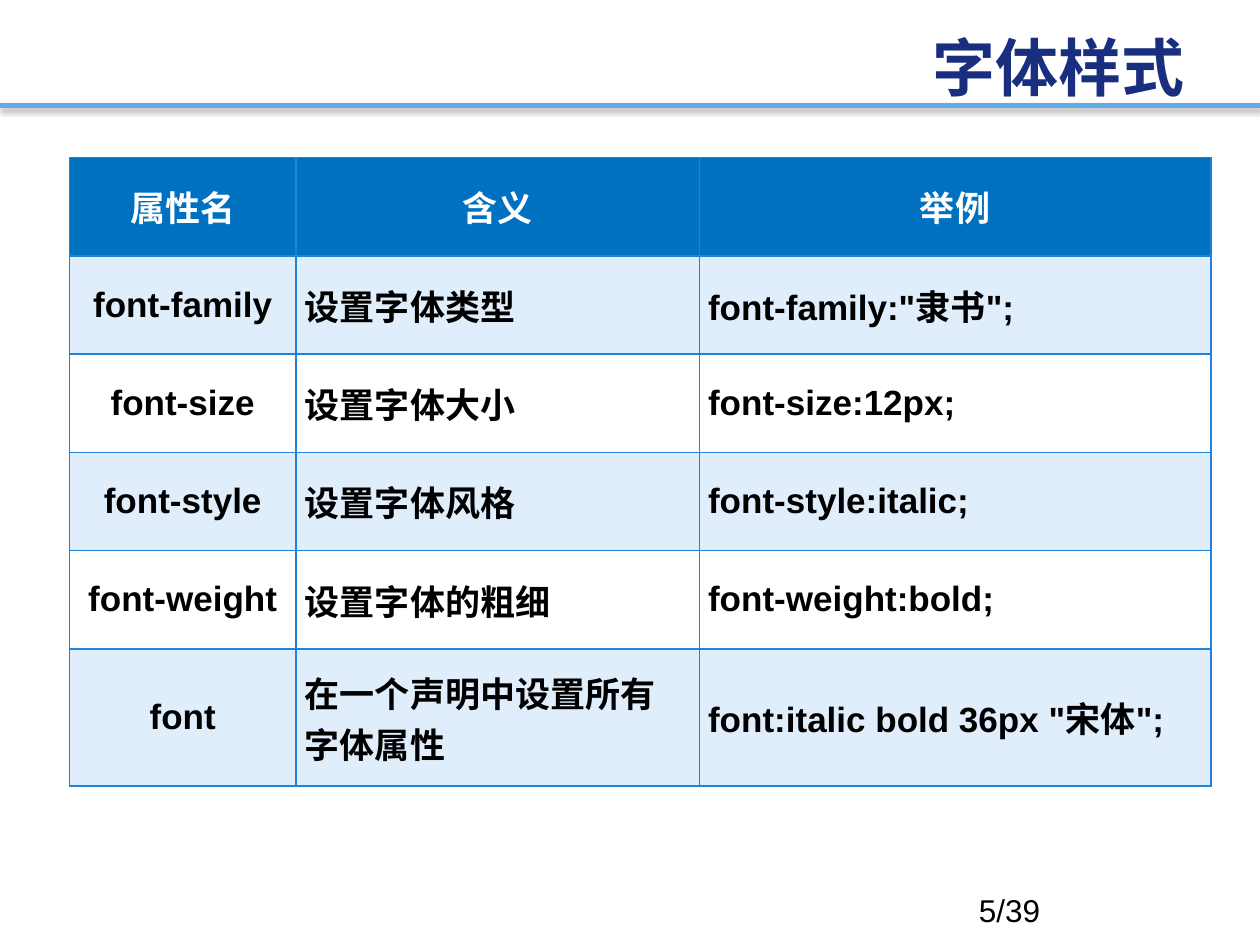
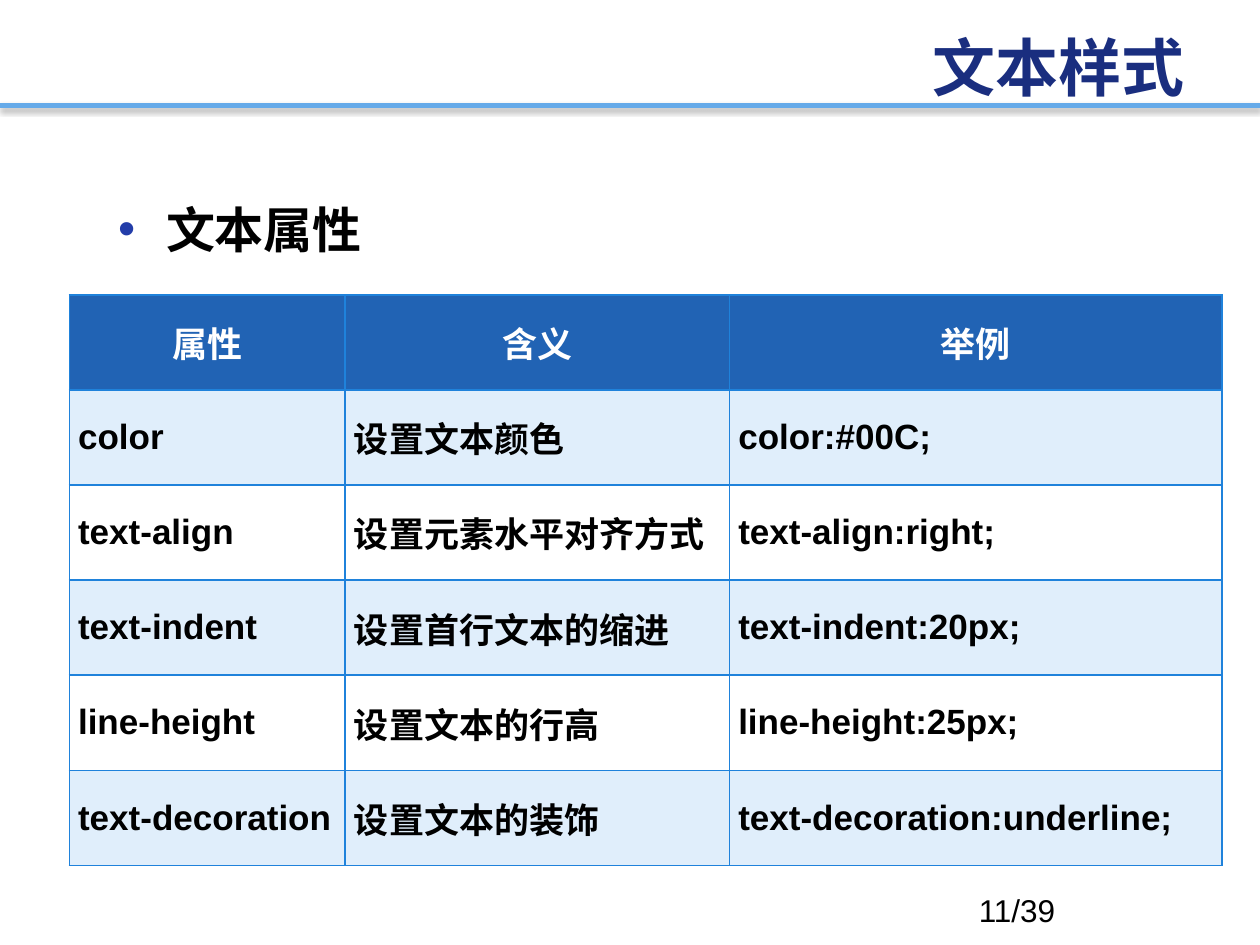
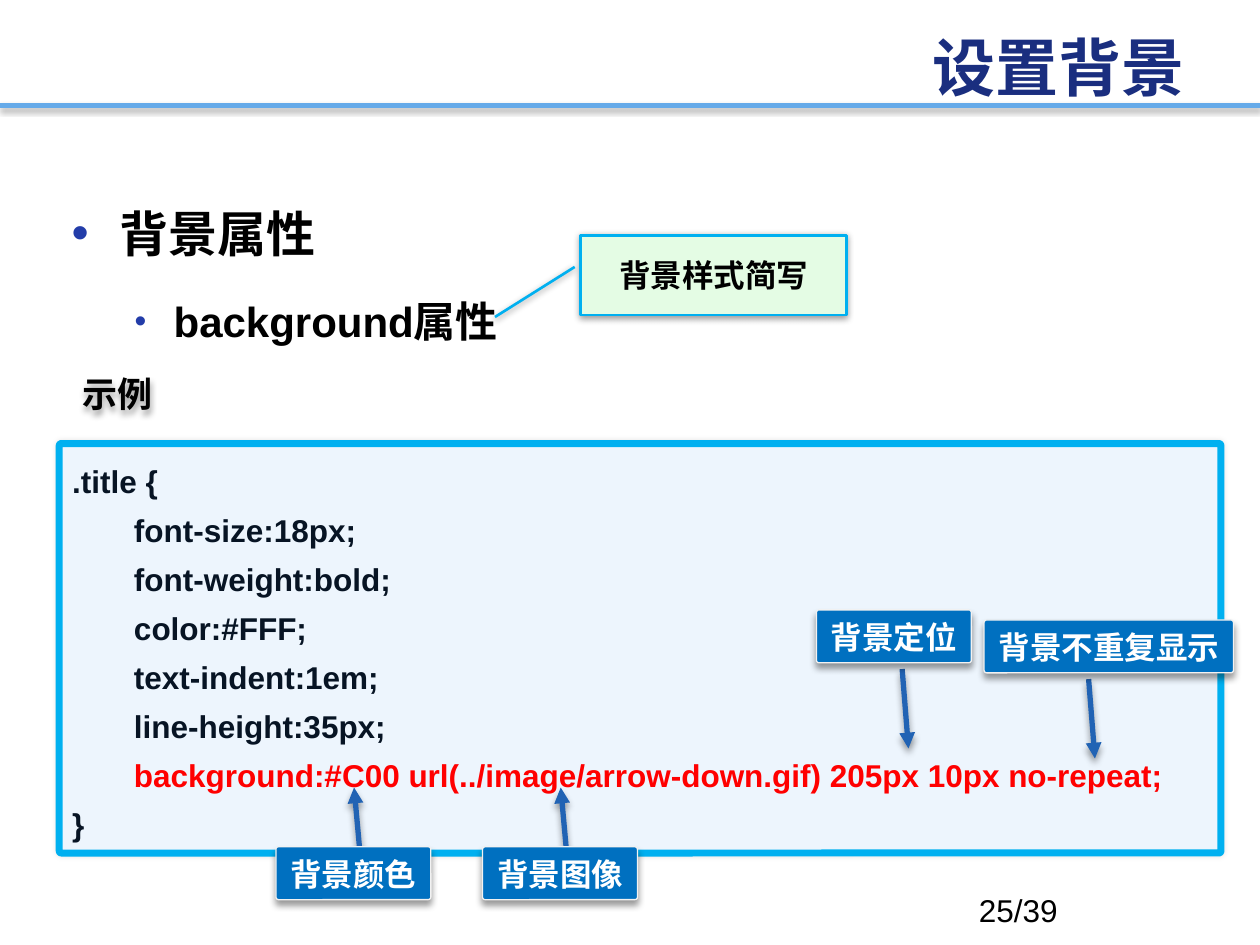
import lxml.etree
import pptx
import pptx.dml.color
import pptx.enum.shapes
import pptx.enum.text
import pptx.oxml.ns
import pptx.util

Inches = pptx.util.Inches
Pt = pptx.util.Pt
qn = pptx.oxml.ns.qn
Align = pptx.enum.text.PP_ALIGN
Anchor = pptx.enum.text.MSO_ANCHOR
Preset = pptx.enum.shapes.MSO_SHAPE

BLACK, WHITE = "000000", "FFFFFF"
TITLE_NAVY, BULLET_BLUE = "1A2E7F", "233DA9"
RULE_BLUE, GRID_BLUE, BAND_BLUE = "65AAE9", "1F82DB", "E0EEFB"
TAG_BLUE, DEEP_BLUE, FRAME_BLUE = "0070C0", "2163B4", "00B0F0"
CODE_INK, CODE_FILL, RED = "071424", "EDF5FD", "FF0000"
PAGE_TOTAL = 39


def rgb(value):
    return pptx.dml.color.RGBColor.from_string(value)


def add_element(parent, tag, **attributes):
    element = lxml.etree.SubElement(parent, qn(tag))
    for name, value in attributes.items():
        element.set(name, str(value))
    return element


def add_color(parent, color):
    return add_element(add_element(parent, "a:solidFill"), "a:srgbClr", val=color)


def cast_shadow(shape, opacity=40, blur=4, distance=3):
    """Drop a black shadow straight down; blur and distance are in points."""
    properties = shape._element.spPr
    effects = properties.find(qn("a:effectLst"))
    if effects is None:
        effects = add_element(properties, "a:effectLst")
    shadow = add_element(effects, "a:outerShdw", blurRad=Pt(blur), dist=Pt(distance),
                         dir=90 * 60000, algn="ctr", rotWithShape=0)
    black = add_element(shadow, "a:srgbClr", val=BLACK)
    add_element(black, "a:alpha", val=opacity * 1000)


def style_paragraph(para, size, color=BLACK, bold=True, align=Align.LEFT, font="Arial"):
    para.alignment = align
    para.font.name = font
    para.font.size = Pt(size)
    para.font.bold = bold
    para.font.color.rgb = rgb(color)


def indent(para, left, first=0):
    properties = para._p.get_or_add_pPr()
    properties.set("marL", str(Inches(left)))
    properties.set("indent", str(Inches(first)))


def draw_borders(cell, color):
    properties = cell._tc.get_or_add_tcPr()
    for side in "LRTB":
        add_color(add_element(properties, f"a:ln{side}", w=Pt(1)), color)


class SlideWriter:
    """Holds the deck and the page being filled; lengths are in inches."""

    def __init__(self):
        self.deck = pptx.Presentation()
        self.deck.slide_width, self.deck.slide_height = Inches(10), Inches(7.5)
        self.page = None

    def new_page(self, title, number):
        self.page = self.deck.slides.add_slide(self.deck.slide_layouts[5])
        self.line((0, 0.84), (10, 0.84), RULE_BLUE, 3)
        cast_shadow(self.page.shapes[-1], 35, 3.1, 1.8)
        box = self.page.shapes.title
        box.left, box.top, box.width, box.height = map(Inches, (3.26, 0.13, 6.24, 0.79))
        frame = box.text_frame
        frame.text = title
        frame.auto_size = pptx.enum.text.MSO_AUTO_SIZE.NONE
        frame.vertical_anchor = Anchor.MIDDLE
        style_paragraph(frame.paragraphs[0], 36, TITLE_NAVY, align=Align.RIGHT)
        self.text((7.67, 7.02, 2.33, 0.4), f"{number}/{PAGE_TOTAL}", 18, bold=False)

    def line(self, start, end, color, width):
        points = [Inches(value) for value in (*start, *end)]
        connector = self.page.shapes.add_connector(
            pptx.enum.shapes.MSO_CONNECTOR.STRAIGHT, *points)
        connector.line.color.rgb = rgb(color)
        connector.line.width = Pt(width)
        add_element(connector._element.spPr, "a:effectLst")
        return connector

    def arrow(self, start, end):
        connector = self.line(start, end, DEEP_BLUE, 3)
        add_element(connector.line._get_or_add_ln(), "a:tailEnd", type="triangle")
        cast_shadow(connector)

    def text(self, place, words, size, wrap=True, **style):
        box = self.page.shapes.add_textbox(*map(Inches, place))
        box.text_frame.word_wrap = wrap
        box.text_frame.text = words
        style_paragraph(box.text_frame.paragraphs[0], size, **style)
        return box

    def bullets(self, place, items):
        """Each item is (words, size, left indent, hanging indent, bullet percent)."""
        frame = self.page.shapes.add_textbox(*map(Inches, place)).text_frame
        frame.word_wrap = True
        frame.text = "\n".join(item[0] for item in items)
        for para, (_, size, left, hanging, percent) in zip(frame.paragraphs, items):
            indent(para, left, -hanging)
            properties = para._p.get_or_add_pPr()
            add_element(add_element(properties, "a:buClr"), "a:srgbClr", val=BULLET_BLUE)
            add_element(properties, "a:buSzPct", val=percent * 1000)
            add_element(properties, "a:buFont", typeface="Arial")
            add_element(properties, "a:buChar", char="•")
            para.line_spacing = 1.5
            para.space_before = Pt(size * 0.2)
            style_paragraph(para, size)

    def shape(self, preset, place, fill, line, width, adjustments):
        shape = self.page.shapes.add_shape(preset, *map(Inches, place))
        shape.shadow.inherit = False
        for index, value in enumerate(adjustments):
            shape.adjustments[index] = value
        shape.fill.solid()
        shape.fill.fore_color.rgb = rgb(fill)
        shape.line.color.rgb = rgb(line)
        shape.line.width = Pt(width)
        return shape

    def tag(self, place, words):
        tag = self.shape(Preset.ROUNDED_RECTANGLE, place, TAG_BLUE, "F2F2F2", 0.75, [0.05])
        cast_shadow(tag)
        frame = tag.text_frame
        frame.word_wrap = False
        frame.vertical_anchor = Anchor.BOTTOM
        frame.text = words
        style_paragraph(frame.paragraphs[0], 18, WHITE, align=Align.CENTER)

    def callout(self, place, words):
        callout = self.shape(Preset.LINE_CALLOUT_1, place, "E4FCE4", FRAME_BLUE, 1.5,
                             [0.395, 1.023, 1.026, 1.323])
        callout._element.spPr.xfrm.set("flipH", "1")
        cast_shadow(callout, distance=1)
        callout.text_frame.vertical_anchor = Anchor.MIDDLE
        callout.text_frame.text = words
        style_paragraph(callout.text_frame.paragraphs[0], 18, align=Align.CENTER)

    def code(self, place, lines, highlight):
        """Indent every line but the first and last; colour the highlight red."""
        panel = self.shape(Preset.ROUNDED_RECTANGLE, place, CODE_FILL, FRAME_BLUE, 4, [0.005])
        cast_shadow(panel, 10, 3, 0)
        frame = panel.text_frame
        frame.vertical_anchor = Anchor.TOP
        frame.text = "\n".join(lines)
        for para in frame.paragraphs:
            para.line_spacing = 1.3
            style_paragraph(para, 18, RED if para.text == highlight else CODE_INK)
        for para in frame.paragraphs[1:-1]:
            indent(para, 0.49)

    def table(self, corner, widths, heights, rows, header_fill, centered_columns=0):
        size = sum(widths), sum(heights)
        table = self.page.shapes.add_table(
            len(rows), len(widths), *map(Inches, (*corner, *size))).table
        table.first_row = table.horz_banding = False
        for column, width in zip(table.columns, widths):
            column.width = Inches(width)
        for row, height in zip(table.rows, heights):
            row.height = Inches(height)
        for row_index, row in enumerate(rows):
            header = row_index == 0
            for column_index, words in enumerate(row):
                cell = table.cell(row_index, column_index)
                draw_borders(cell, GRID_BLUE)
                if header or row_index % 2:
                    cell.fill.solid()
                    cell.fill.fore_color.rgb = rgb(header_fill if header else BAND_BLUE)
                else:
                    cell.fill.background()
                cell.vertical_anchor = Anchor.MIDDLE
                cell.margin_left = cell.margin_right = Inches(0.07)
                cell.margin_top = cell.margin_bottom = 0
                cell.text = words
                para = cell.text_frame.paragraphs[0]
                para.space_before = Pt(4)
                centered = header or column_index < centered_columns
                style_paragraph(para, 20, WHITE if header else BLACK,
                                align=Align.CENTER if centered else Align.LEFT)


def font_page(writer):
    writer.new_page("字体样式", 5)
    rows = [
        ("属性名", "含义", "举例"),
        ("font-family", "设置字体类型", 'font-family:"隶书";'),
        ("font-size", "设置字体大小", "font-size:12px;"),
        ("font-style", "设置字体风格", "font-style:italic;"),
        ("font-weight", "设置字体的粗细", "font-weight:bold;"),
        ("font", "在一个声明中设置所有字体属性", 'font:italic bold 36px "宋体";'),
    ]
    writer.table((0.55, 1.25), (1.8, 3.2, 4.06), [0.78] * 5 + [1.09], rows,
                 TAG_BLUE, centered_columns=1)


def text_page(writer):
    writer.new_page("文本样式", 11)
    writer.bullets((0.84, 1.3, 9, 0.89), [("文本属性", 28, 0.38, 0.38, 100)])
    rows = [
        ("属性", "含义", "举例"),
        ("color", "设置文本颜色", "color:#00C;"),
        ("text-align", "设置元素水平对齐方式", "text-align:right;"),
        ("text-indent", "设置首行文本的缩进", "text-indent:20px;"),
        ("line-height", "设置文本的行高", "line-height:25px;"),
        ("text-decoration", "设置文本的装饰", "text-decoration:underline;"),
    ]
    writer.table((0.55, 2.34), (2.19, 3.05, 3.91), [4.53 / 6] * 6, rows, DEEP_BLUE)


def background_page(writer):
    writer.new_page("设置背景", 25)
    writer.bullets((0.47, 1.33, 5.47, 1.64), [
        ("背景属性", 28, 0.38, 0.38, 100),
        ("background属性", 24, 0.81, 0.31, 80),
    ])
    label = writer.text((0.56, 2.9, 0.77, 0.44), "示例", 20, wrap=False,
                        font="Noto Sans CJK SC")
    label.text_frame.vertical_anchor = Anchor.MIDDLE
    cast_shadow(label)
    shorthand = "background:#C00 url(../image/arrow-down.gif) 205px 10px no-repeat;"
    writer.code((0.47, 3.52, 9.22, 3.25), [
        ".title {", "font-size:18px;", "font-weight:bold;", "color:#FFF;",
        "text-indent:1em;", "line-height:35px;", shorthand, "}",
    ], shorthand)
    writer.callout((4.61, 1.87, 2.11, 0.63), "背景样式简写")
    tags = [
        ("背景颜色", 2.19, 6.72, 1.23, (2.86, 6.8), (2.81, 6.25)),
        ("背景图像", 3.83, 6.72, 1.23, (4.5, 6.8), (4.45, 6.25)),
        ("背景定位", 6.48, 4.84, 1.23, (7.16, 5.31), (7.21, 5.94)),
        ("背景不重复显示", 7.81, 4.92, 1.98, (8.64, 5.39), (8.69, 6.02)),
    ]
    for words, left, top, width, start, end in tags:
        writer.arrow(start, end)
        writer.tag((left, top, width, 0.42), words)


def main():
    writer = SlideWriter()
    font_page(writer)
    text_page(writer)
    background_page(writer)
    writer.deck.save("out.pptx")


if __name__ == "__main__":
    main()
